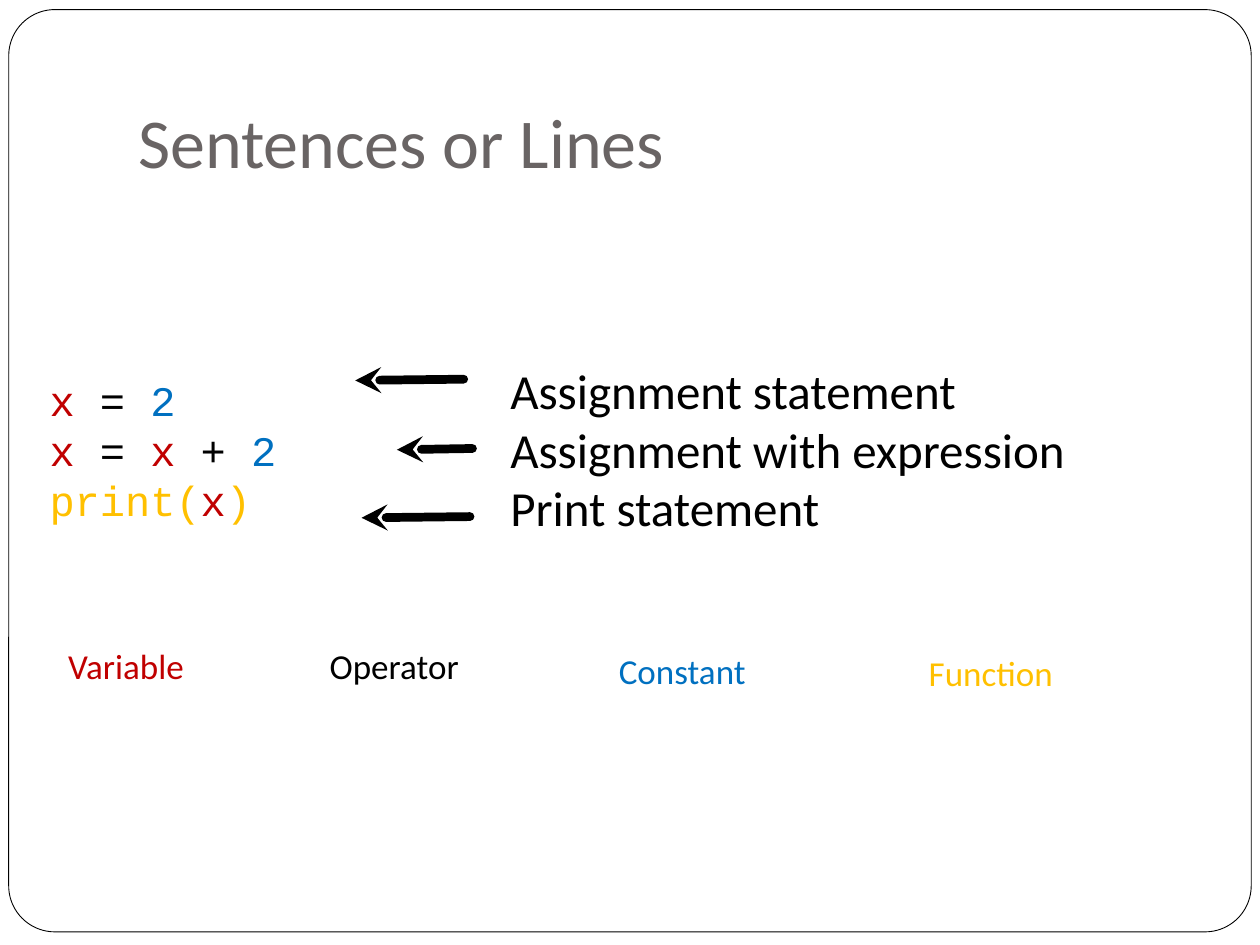
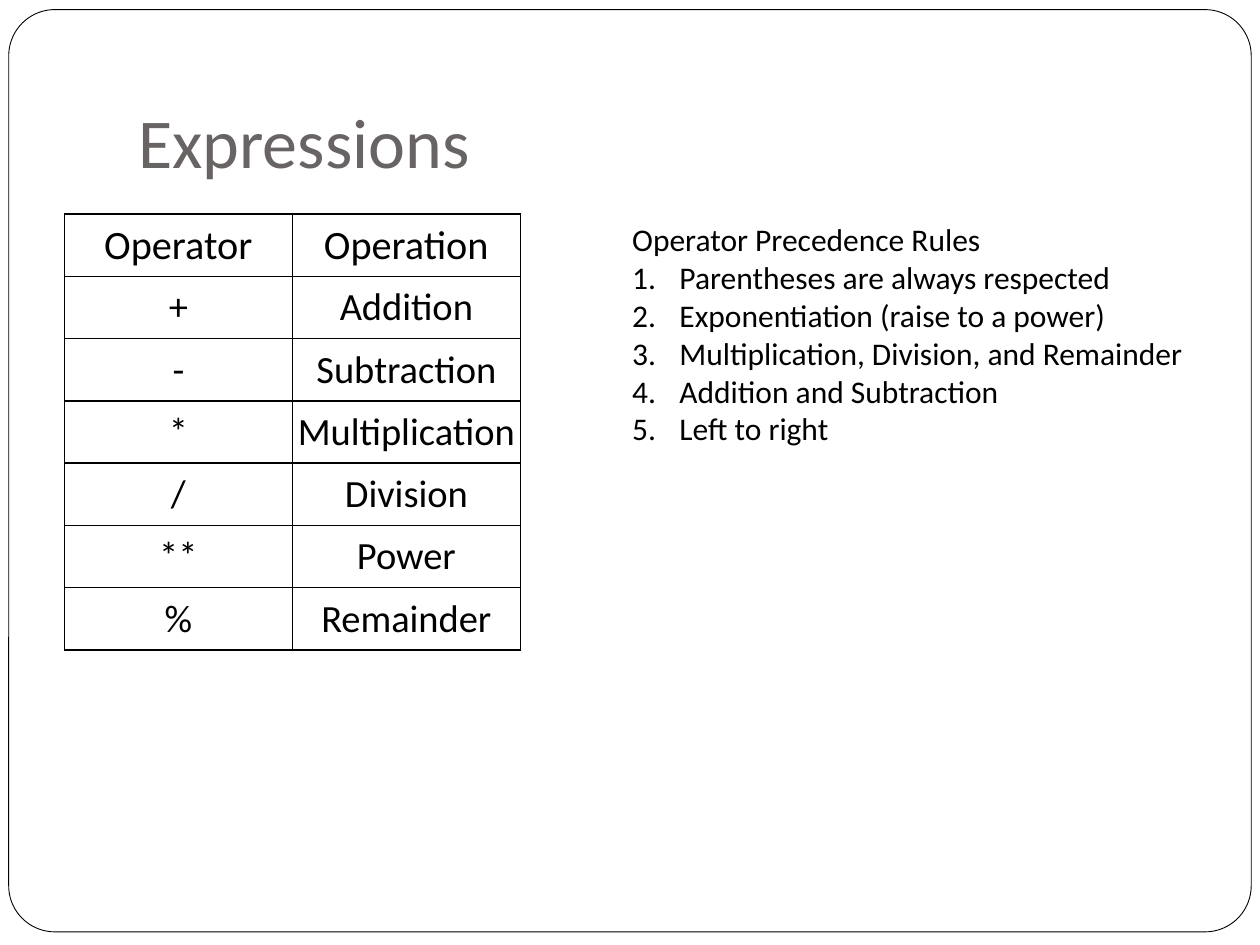
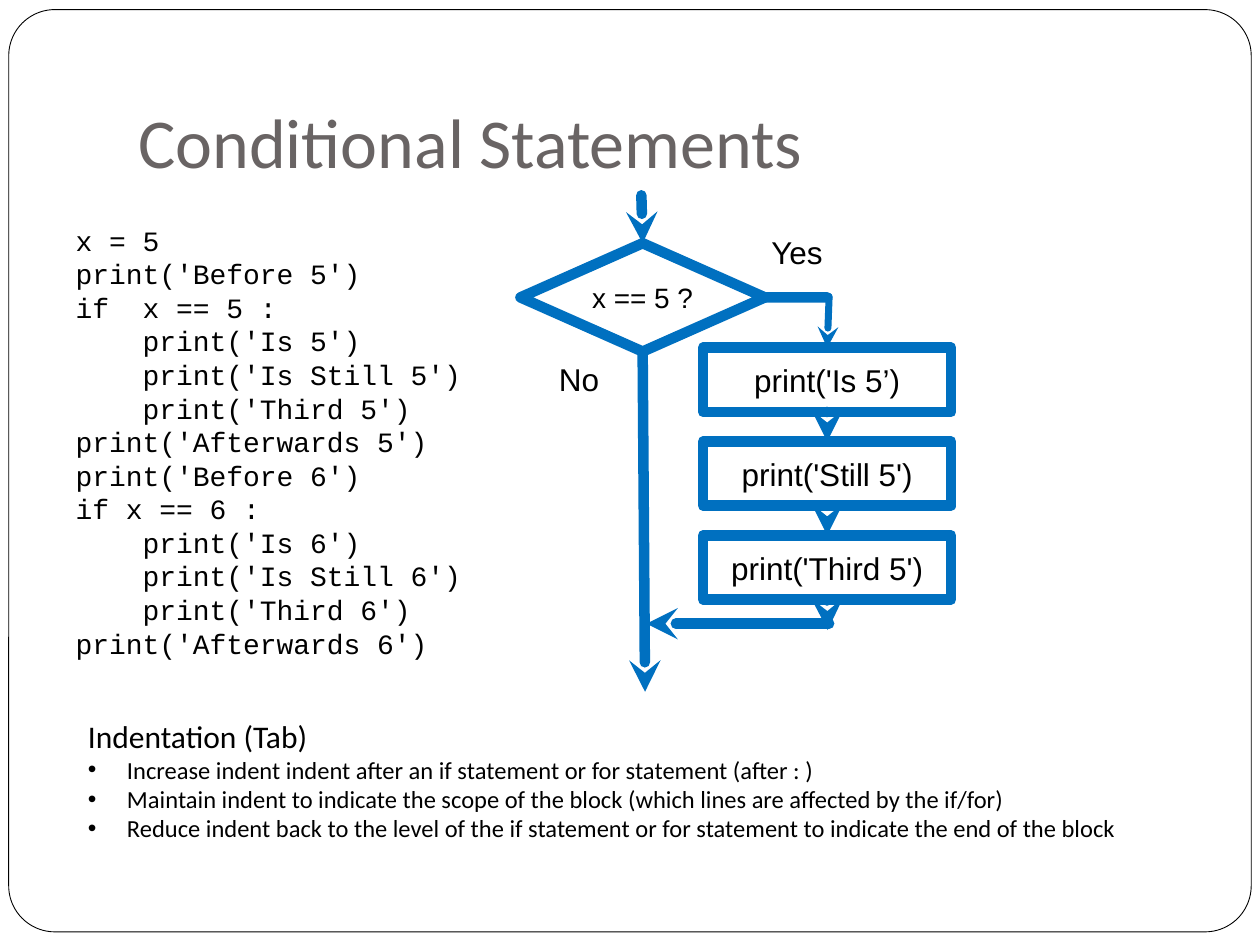
from pptx import Presentation
from pptx.dml.color import RGBColor
from pptx.enum.shapes import MSO_CONNECTOR as Connector, MSO_SHAPE as Preset
from pptx.enum.text import MSO_ANCHOR as Anchor, PP_ALIGN as Align
from pptx.oxml.ns import qn
from pptx.util import Pt
from lxml.etree import SubElement

BLACK, WHITE, GRAY = "000000", "FFFFFF", "696464"
RED, BLUE, GOLD = "C00000", "0070C0", "FFC000"
BODY, CODE, CHART = "Calibri", "Courier New", "Arial"
NO_INSETS, BOX_INSETS = (0, 0, 0, 0), (7.2, 3.6, 7.2, 3.6)
TOP, LEFT, BOTTOM, RIGHT = range(4)


def rgb(color):
    """Return the colour for a hex string."""
    return RGBColor.from_string(color)


def points(*lengths):
    """Convert plain numbers to lengths in points."""
    return [Pt(length) for length in lengths]


def format_runs(text_frame, size, font, color=BLACK, align=Align.LEFT):
    """Give every paragraph and run one style."""
    for paragraph in text_frame.paragraphs:
        paragraph.alignment = align
        for run in paragraph.runs:
            run.font.size, run.font.name = Pt(size), font
            run.font.color.rgb = rgb(color)


def set_frame(text_frame, insets, anchor):
    """Set wrapping, insets and vertical anchor of a text frame."""
    text_frame.word_wrap = True
    text_frame.vertical_anchor = anchor
    (text_frame.margin_left, text_frame.margin_top,
     text_frame.margin_right, text_frame.margin_bottom) = points(*insets)


def add_text(slide, box, text, size, font=BODY, color=BLACK, align=Align.LEFT,
             insets=NO_INSETS, anchor=Anchor.MIDDLE):
    """Add a text box in one style and return its text frame."""
    text_frame = slide.shapes.add_textbox(*points(*box)).text_frame
    set_frame(text_frame, insets, anchor)
    text_frame.text = text
    format_runs(text_frame, size, font, color, align)
    return text_frame


def add_colored_code(slide, box, lines, size):
    """Add code whose lines are lists of (text, colour) tokens."""
    text_frame = add_text(slide, box, "\n" * (len(lines) - 1), size, CODE)
    for paragraph, tokens in zip(text_frame.paragraphs, lines):
        for text, _ in tokens:
            paragraph.add_run().text = text
    format_runs(text_frame, size, CODE)
    for paragraph, tokens in zip(text_frame.paragraphs, lines):
        for run, (_, color) in zip(paragraph.runs, tokens):
            run.font.color.rgb = rgb(color)


def add_list(slide, box, heading, items, indent, item_size, bullet, **marks):
    """Add a heading followed by bulleted or numbered items."""
    text_frame = add_text(slide, box, "\n".join([heading, *items]), 18,
                          insets=BOX_INSETS, anchor=Anchor.TOP)
    for paragraph in text_frame.paragraphs[1:]:
        paragraph.runs[0].font.size = Pt(item_size)
        properties = paragraph._p.get_or_add_pPr()
        properties.set("marL", str(Pt(indent)))
        properties.set("indent", str(-Pt(indent)))
        SubElement(properties, qn("a:buFont"), typeface=CHART)
        SubElement(properties, qn(bullet), **marks)


def add_node(slide, preset, box, text, size):
    """Add an outlined flowchart node."""
    shape = slide.shapes.add_shape(preset, *points(*box))
    shape.shadow.inherit = False
    shape.fill.background()
    shape.line.color.rgb, shape.line.width = rgb(BLUE), Pt(6)
    set_frame(shape.text_frame, NO_INSETS, Anchor.MIDDLE)
    shape.text_frame.text = text
    format_runs(shape.text_frame, size, CHART, align=Align.CENTER)
    return shape


def add_arrow(slide, tip, tail, color=BLUE, width=6, tip_node=None,
              tail_node=None, head=True):
    """Draw a round-capped line; nodes are (shape, side) pairs to join."""
    line = slide.shapes.add_connector(Connector.STRAIGHT,
                                      *points(*tip, *tail))
    line.line.color.rgb, line.line.width = rgb(color), Pt(width)
    outline = line.line._get_or_add_ln()
    outline.set("cap", "rnd")
    SubElement(outline, qn("a:round"))
    if head:
        SubElement(outline, qn("a:headEnd"), type="stealth")
    SubElement(line._element.spPr, qn("a:effectLst"))
    if tip_node:
        line.begin_connect(*tip_node)
    if tail_node:
        line.end_connect(*tail_node)


def add_table(slide, left, top, column_width, row_height, rows):
    """Add a bordered, unfilled table with a slightly larger header."""
    width, height = column_width * len(rows[0]), row_height * len(rows)
    table = slide.shapes.add_table(len(rows), len(rows[0]),
                                   *points(left, top, width, height)).table
    table.first_row = table.horz_banding = False
    for row_index, row in enumerate(rows):
        table.rows[row_index].height = Pt(row_height)
        for column_index, text in enumerate(row):
            cell = table.cell(row_index, column_index)
            cell.text = text
            cell.vertical_anchor = Anchor.MIDDLE
            (cell.margin_left, cell.margin_top,
             cell.margin_right, cell.margin_bottom) = points(3, 3, 3, 3)
            format_runs(cell.text_frame, 22 if row_index else 23, BODY,
                        align=Align.CENTER)
            add_borders(cell)
            cell.fill.background()


def add_borders(cell):
    """Draw a thin black line on all four sides of a cell."""
    properties = cell._tc.get_or_add_tcPr()
    for side in ("a:lnL", "a:lnR", "a:lnT", "a:lnB"):
        border = SubElement(properties, qn(side), w=str(Pt(1)))
        fill = SubElement(border, qn("a:solidFill"))
        SubElement(fill, qn("a:srgbClr"), val=BLACK)


def add_slide(presentation, title):
    """Add a slide with the rounded frame and a title."""
    slide = presentation.slides.add_slide(presentation.slide_layouts[6])
    frame = slide.shapes.add_shape(Preset.ROUNDED_RECTANGLE,
                                   *points(5, 5.5, 710, 527))
    frame.adjustments[0] = 0.05
    frame.shadow.inherit = False
    frame.fill.solid()
    frame.fill.fore_color.rgb = rgb(WHITE)
    frame.line.color.rgb, frame.line.width = rgb(BLACK), Pt(0.5)
    add_text(slide, (72, 21.6, 612, 90), title, 40, color=GRAY,
             insets=(7.2, 3.6, 7.2, 7.2), anchor=Anchor.BOTTOM)
    return slide


def build_sentences(presentation):
    """Build the slide on kinds of lines."""
    slide = add_slide(presentation, "Sentences or Lines")
    add_colored_code(slide, (28.3, 162.7, 187, 188.6), [
        [("x", RED), (" = ", BLACK), ("2", BLUE)],
        [("x", RED), (" = ", BLACK), ("x", RED), (" + ", BLACK), ("2", BLUE)],
        [("print(", GOLD), ("x", RED), (")", GOLD)],
    ], 24)
    for left, top, width, text, color in [
            (17.3, 363.6, 109.4, "Variable", RED),
            (174.2, 363.6, 102.2, "Operator", BLACK),
            (332.6, 366.5, 114.5, "Constant", BLUE),
            (496, 367.2, 140.4, "Function", GOLD)]:
        add_text(slide, (left, top, width, 33.8), text, 20, color=color,
                 align=Align.CENTER)
    add_text(slide, (291.6, 162, 411, 188.6),
             "Assignment statement\nAssignment with expression\n"
             "Print statement", 28)
    for tip_x, tail_x, y in [(203, 265, 217.4), (226.8, 270, 257),
                             (206.6, 268.6, 295.9)]:
        add_arrow(slide, (tip_x, y), (tail_x, y - 0.7), BLACK, 5)


def build_expressions(presentation):
    """Build the slide on operators and precedence."""
    slide = add_slide(presentation, "Expressions")
    add_table(slide, 36.8, 122.4, 130.3, 35.6, [
        ("Operator", "Operation"), ("+", "Addition"), ("-", "Subtraction"),
        ("*", "Multiplication"), ("/", "Division"), ("**", "Power"),
        ("%", "Remainder")])
    add_list(slide, (354.2, 122.4, 329, 181.4), "Operator Precedence Rules", [
        "Parentheses are always respected",
        "Exponentiation (raise to a power)",
        "Multiplication, Division, and Remainder",
        "Addition and Subtraction",
        "Left to right"], 27, 18, "a:buAutoNum", type="arabicPeriod")


def add_flowchart(slide):
    """Draw the one-way decision flowchart."""
    decision = add_node(slide, Preset.DIAMOND, (297.4, 139, 139.7, 61.9),
                        "x == 5 ?", 16)
    steps = [add_node(slide, Preset.RECTANGLE,
                      (401.8, 198.7 + 53.6 * index, 141.8, 36.7), text, 18)
             for index, text in enumerate(
                 ["print('Is 5’)", "print('Still 5')", "print('Third 5')"])]
    add_arrow(slide, (367.2, 139), (366.5, 111.6), tip_node=(decision, TOP))
    add_arrow(slide, (368.6, 395.3), (367.2, 200.9),
              tail_node=(decision, BOTTOM))
    add_arrow(slide, (472.7, 169.9), (437, 169.9),
              tail_node=(decision, RIGHT), head=False)
    add_arrow(slide, (472.7, 198.7), (473.8, 169.5), width=4,
              tip_node=(steps[0], TOP))
    for step, following in zip(steps, steps[1:]):
        add_arrow(slide, (0, 0), (0, 0), tip_node=(following, TOP),
                  tail_node=(step, BOTTOM))
    add_arrow(slide, (473, 360), (473, 342.7), tail_node=(steps[-1], BOTTOM))
    add_arrow(slide, (369.4, 356.4), (473.8, 356.4))
    for box, text in [((428.4, 128.9, 54, 30.2), "Yes"),
                      ((313.2, 201.6, 35.3, 30.2), "No")]:
        add_text(slide, box, text, 18, CHART, align=Align.CENTER)


def build_conditionals(presentation):
    """Build the slide on conditional statements."""
    slide = add_slide(presentation, "Conditional Statements")
    add_flowchart(slide)
    add_text(slide, (43.2, 116.6, 238.3, 271.4), "\n".join([
        "x = 5",
        "print('Before 5')",
        "if  x == 5 :",
        "    print('Is 5')",
        "    print('Is Still 5')",
        "    print('Third 5')",
        "print('Afterwards 5')",
        "print('Before 6')",
        "if x == 6 :",
        "    print('Is 6')",
        "    print('Is Still 6')",
        "    print('Third 6')",
        "print('Afterwards 6')"]), 16, CODE)
    add_list(slide, (43.2, 406, 676, 101.5), "Indentation (Tab)", [
        "Increase indent indent after an if statement or for statement "
        "(after : )",
        "Maintain indent to indicate the scope of the block "
        "(which lines are affected by the if/for)",
        "Reduce indent back to the level of the if statement or for statement "
        "to indicate the end of the block"], 22.3, 14, "a:buChar", char="•")


def main():
    """Build and save the presentation."""
    presentation = Presentation()
    presentation.slide_width, presentation.slide_height = points(720, 540)
    build_sentences(presentation)
    build_expressions(presentation)
    build_conditionals(presentation)
    presentation.save("out.pptx")


if __name__ == "__main__":
    main()
